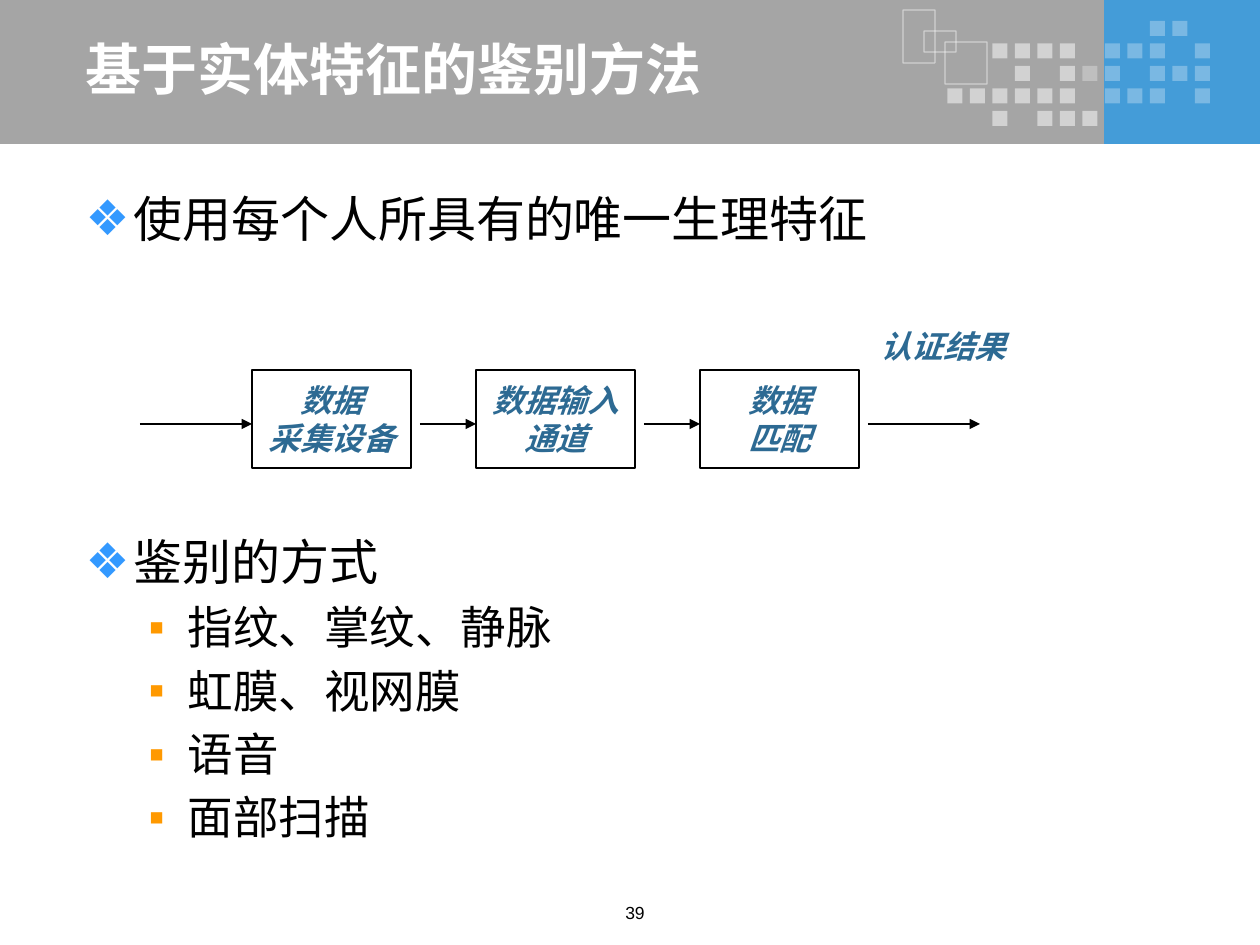
import pptx
import pptx.util
import pptx.dml.color
import pptx.enum.shapes
import pptx.enum.text
import pptx.oxml
import pptx.oxml.ns
from dataclasses import dataclass


@dataclass(frozen=True)
class Theme:
    blue: str = "449CD8"
    gray: str = "A5A5A5"
    white: str = "FFFFFF"
    black: str = "000000"
    label: str = "2D6A93"
    bullets: tuple = ("3399FF", "FF9900")
    cjk: str = "Noto Sans CJK SC"
    serif: str = "Times New Roman"
    sans: str = "Arial"
    title_size: int = 32
    body_sizes: tuple = (28, 26)
    label_size: int = 18
    number_size: int = 10
    line: float = 0.75


T = Theme()
TITLE = "基于实体特征的鉴别方法"
BODY = [
    (0, "使用每个人所具有的唯一生理特征", 0),
    (0, "鉴别的方式", 162.5),
    (1, "指纹、掌纹、静脉", 5.2),
    (1, "虹膜、视网膜", 5.2),
    (1, "语音", 5.2),
    (1, "面部扫描", 5.2),
]
LEVELS = [
    {"char": "❖", "left": 48, "hang": 48, "pitch": 33.5},
    {"char": "▪", "left": 102, "hang": 39, "pitch": 31},
]
STEPS = [("数据", "采集设备"), ("数据输入", "通道"), ("数据", "匹配")]
RESULT = "认证结果"
NUMBER = "39"
BANNER = [(1104, 0, 156, 144, T.blue), (0, 0, 1104, 144, T.gray)]
MOSAIC = [
    ".........++.",
    "..####.+++.+",
    "...#.#++.+++",
    "######.+++.+",
    "..#.###.....",
]
OPACITY = {"#": 50, "+": 29}
FRAMES = [(903, 10, 32, 53), (924, 31, 32, 21), (945, 42, 42, 42)]
STEP_X, STEP_Y, STEP_W, STEP_H, STEP_PITCH = 252, 370, 159, 98, 224
FLOW_Y, FLOW_GAP, FLOW_END = 424, 56, 112

PP = pptx.enum.text.PP_ALIGN
ANCHOR = pptx.enum.text.MSO_ANCHOR
SHAPE = pptx.enum.shapes.MSO_SHAPE
qn = pptx.oxml.ns.qn


def px(n):
    return pptx.util.Emu(round(n * 914400 / 126))


def rgb(color):
    return pptx.dml.color.RGBColor.from_string(color)


def add_xml(parent, tag, **attrs):
    el = parent.makeelement(qn(tag), attrs)
    parent.append(el)
    return el


def place(sp, x, y, w, h):
    sp.left, sp.top, sp.width, sp.height = px(x), px(y), px(w), px(h)


def add_run(p, text, size, font, color, bold=False, italic=False):
    r = p.add_run()
    r.text = text
    f = r.font
    f.size, f.name, f.bold, f.italic = pptx.util.Pt(size), font, bold, italic
    f.color.rgb = rgb(color)
    if font == T.cjk:
        add_xml(f._element, "a:ea", typeface=font)


def add_label(p, text):
    add_run(p, text, T.label_size, T.serif, T.label, True, True)


def add_rect(s, x, y, w, h, fill=None, line=None, opacity=None):
    sp = s.shapes.add_shape(SHAPE.RECTANGLE, px(x), px(y), px(w), px(h))
    sp.shadow.inherit = False
    if fill:
        sp.fill.solid()
        sp.fill.fore_color.rgb = rgb(fill)
    else:
        sp.fill.background()
    if line:
        sp.line.color.rgb = rgb(line)
        sp.line.width = pptx.util.Pt(T.line)
    else:
        sp.line.fill.background()
    if opacity:
        for color in sp._element.spPr.iter(qn("a:srgbClr")):
            add_xml(color, "a:alpha", val=str(opacity * 1000))
    return sp


def add_arrow(s, x1, x2):
    kind = pptx.enum.shapes.MSO_CONNECTOR.STRAIGHT
    cx = s.shapes.add_connector(kind, px(x1), px(FLOW_Y), px(x2), px(FLOW_Y))
    cx.line.color.rgb = rgb(T.black)
    cx.line.width = pptx.util.Pt(T.line)
    add_xml(cx.line._get_or_add_ln(), "a:tailEnd", type="triangle")
    add_xml(cx._element.spPr, "a:effectLst")


def add_text(s, x, y, w, h, align):
    tf = s.shapes.add_textbox(px(x), px(y), px(w), px(h)).text_frame
    tf.word_wrap = True
    tf.paragraphs[0].alignment = align
    return tf.paragraphs[0]


def draw_banner(s):
    for x, y, w, h, fill in BANNER:
        add_rect(s, x, y, w, h, fill)
    for row, marks in enumerate(MOSAIC):
        for col, mark in enumerate(marks):
            if mark in OPACITY:
                add_rect(s, 947.5 + 22.5 * col, 21 + 22.5 * row, 15, 15,
                         T.white, opacity=OPACITY[mark])
    for frame in FRAMES:
        add_rect(s, *frame, line=T.white, opacity=50)


def fill_title(sp):
    place(sp, 73, 35, 978, 67)
    tf = sp.text_frame
    tf.auto_size = pptx.enum.text.MSO_AUTO_SIZE.NONE
    tf.vertical_anchor = ANCHOR.MIDDLE
    p = tf.paragraphs[0]
    p.alignment = PP.LEFT
    add_run(p, TITLE, T.title_size, T.cjk, T.white, True)


def fill_body(sp):
    place(sp, 73, 179, 1129, 703)
    tf = sp.text_frame
    tf.auto_size = pptx.enum.text.MSO_AUTO_SIZE.NONE
    tf.margin_top = px(10)
    for i, (level, text, before) in enumerate(BODY):
        p = tf.paragraphs[0] if i == 0 else tf.add_paragraph()
        style = LEVELS[level]
        p.level = level
        pPr = p._p.get_or_add_pPr()
        pPr.set("marL", str(px(style["left"])))
        pPr.set("indent", str(-px(style["hang"])))
        add_xml(add_xml(pPr, "a:buClr"), "a:srgbClr", val=T.bullets[level])
        add_xml(pPr, "a:buChar", char=style["char"])
        p.line_spacing = pptx.util.Pt(style["pitch"])
        p.space_before = pptx.util.Pt(before)
        add_run(p, text, T.body_sizes[level], T.cjk, T.black)


def draw_flow(s):
    add_arrow(s, STEP_X - FLOW_END, STEP_X)
    for i, lines in enumerate(STEPS):
        x = STEP_X + i * STEP_PITCH
        sp = add_rect(s, x, STEP_Y, STEP_W, STEP_H, line=T.black)
        tf = sp.text_frame
        tf.word_wrap = False
        tf.vertical_anchor = ANCHOR.MIDDLE
        for j, text in enumerate(lines):
            p = tf.paragraphs[0] if j == 0 else tf.add_paragraph()
            p.alignment = PP.CENTER
            add_label(p, text)
        start = x + STEP_PITCH - FLOW_GAP
        add_arrow(s, start, start + (FLOW_END if i == len(STEPS) - 1 else FLOW_GAP))
    add_label(add_text(s, 868, 321, 168, 110, PP.JUSTIFY), RESULT)


def main():
    prs = pptx.Presentation()
    prs.slide_width, prs.slide_height = px(1260), px(945)
    s = prs.slides.add_slide(prs.slide_layouts[1])
    title, body = s.shapes.title, s.placeholders[1]
    draw_banner(s)
    for sp in (title, body):
        s.shapes._spTree.append(sp._element)
    fill_title(title)
    fill_body(body)
    p = add_text(s, 577, 896, 116, 37, PP.CENTER)
    add_run(p, NUMBER, T.number_size, T.sans, T.black)
    draw_flow(s)
    prs.save("out.pptx")


if __name__ == "__main__":
    main()
